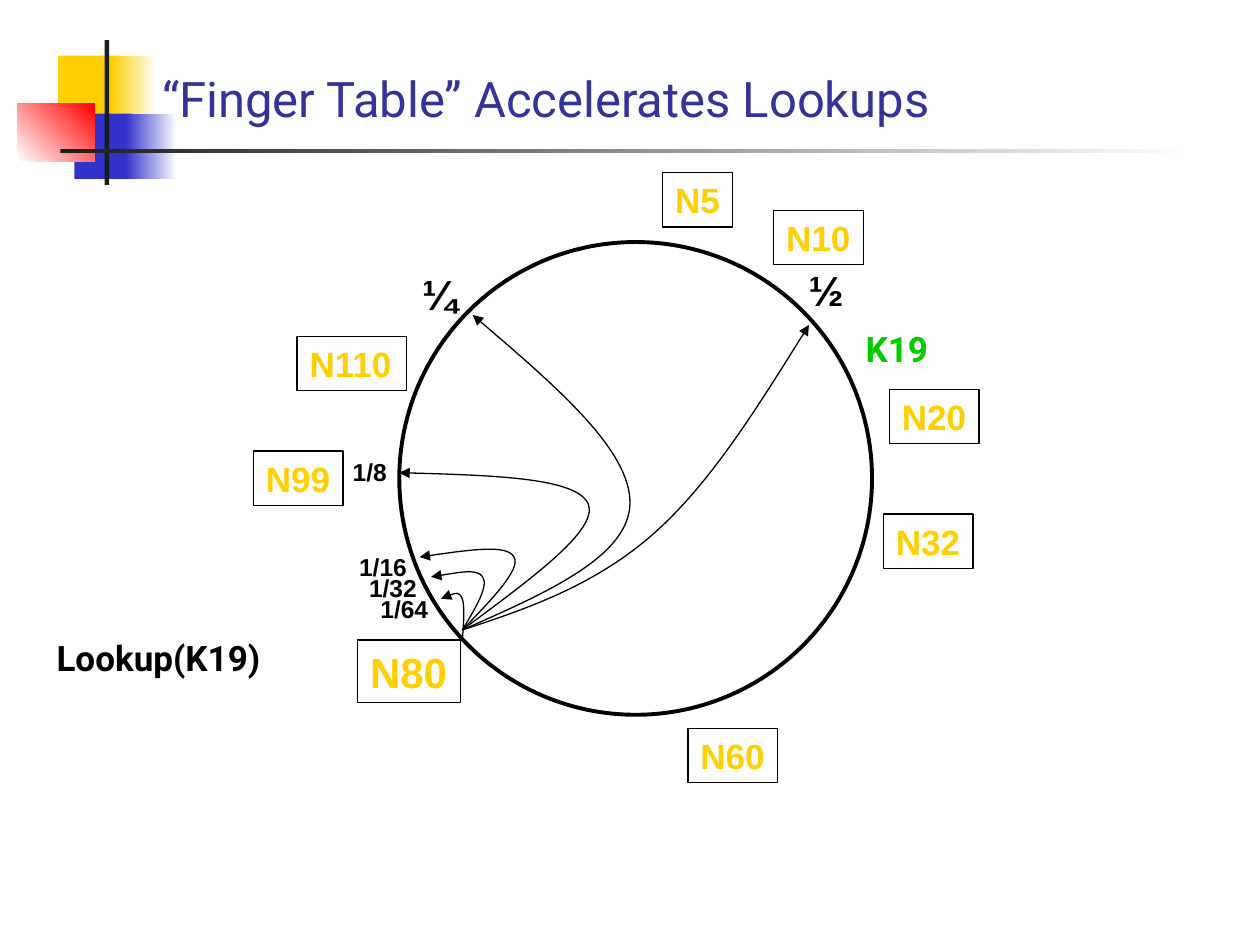
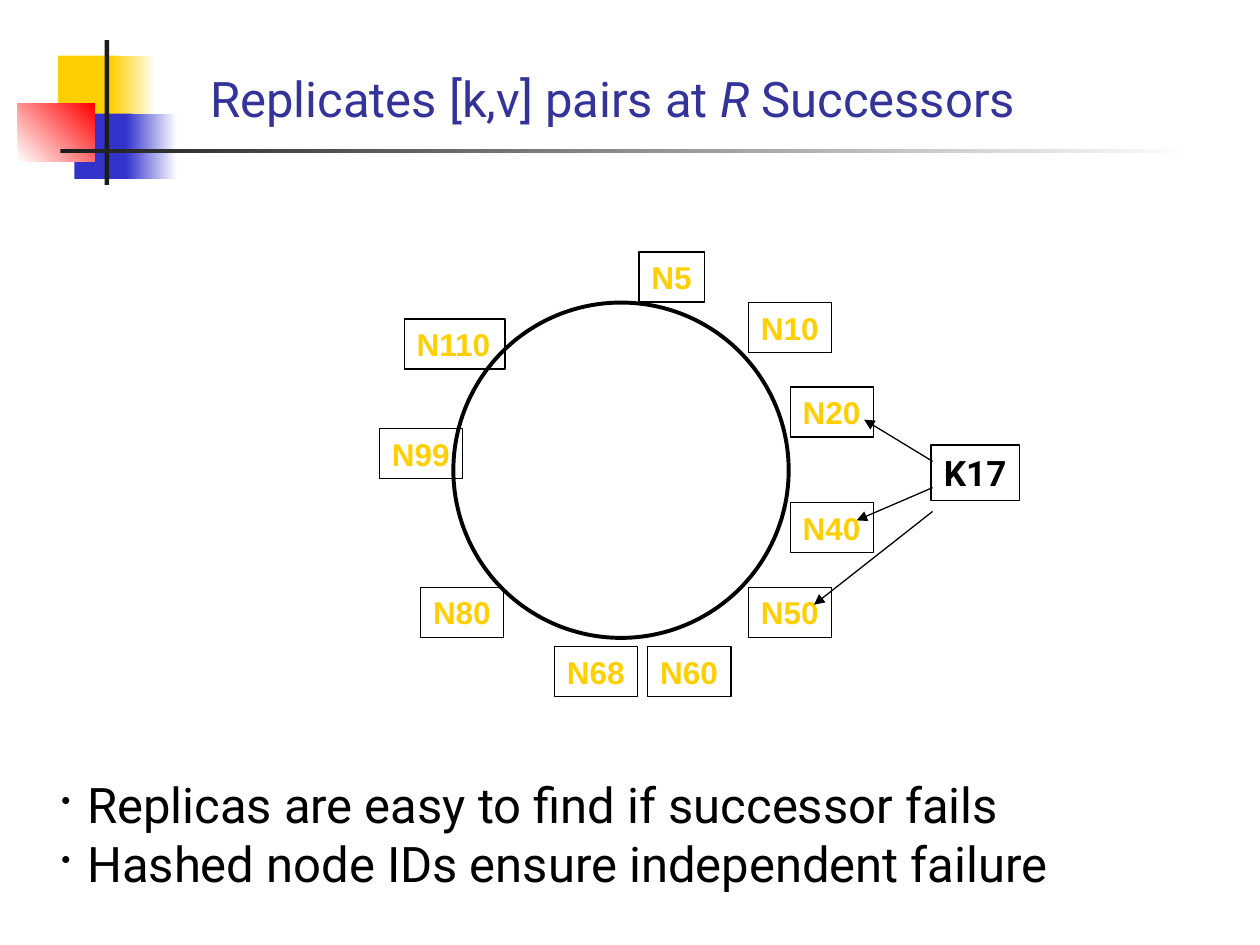
"""Build two slides on Chord lookups: the finger table and replication at successors."""
from lxml.etree import SubElement
from pptx import Presentation
from pptx.dml.color import RGBColor
from pptx.enum.shapes import MSO_CONNECTOR, MSO_SHAPE
from pptx.enum.text import MSO_ANCHOR, MSO_AUTO_SIZE, PP_ALIGN
from pptx.oxml.ns import qn
from pptx.util import Cm, Pt

YELLOW = RGBColor(0xFF, 0xCF, 0x01)
BLUE = RGBColor(0x33, 0x33, 0xCC)
RED = RGBColor(0xFF, 0x00, 0x00)
GREEN = RGBColor(0x00, 0xCC, 0x00)
INDIGO = RGBColor(0x33, 0x33, 0x99)
CHARCOAL = RGBColor(0x1C, 0x1C, 0x1C)
BLACK = RGBColor(0x00, 0x00, 0x00)
WHITE = RGBColor(0xFF, 0xFF, 0xFF)


def draw_line(drawn, width=0.75, arrow=False):
    drawn.line.color.rgb = BLACK
    drawn.line.width = Pt(width)
    if arrow:
        SubElement(drawn.line._get_or_add_ln(), qn("a:tailEnd"), type="triangle")


def add_text(slide, text, box, size=20, font="Arial", color=BLACK, bold=True, border=False,
             wrap=False, anchor=MSO_ANCHOR.TOP, align=PP_ALIGN.LEFT, bullet=False):
    place = [Cm(length) for length in box]
    if border:
        holder = slide.shapes.add_shape(MSO_SHAPE.RECTANGLE, *place)
        holder.shadow.inherit = False
        holder.fill.background()
        draw_line(holder)
    else:
        holder = slide.shapes.add_textbox(*place)
    frame = holder.text_frame
    frame.word_wrap = wrap
    frame.auto_size = MSO_AUTO_SIZE.NONE if wrap else MSO_AUTO_SIZE.SHAPE_TO_FIT_TEXT
    frame.vertical_anchor = anchor
    for number, line in enumerate(text.split("\n")):
        paragraph = frame.add_paragraph() if number else frame.paragraphs[0]
        paragraph.alignment = align
        if bullet:
            properties = paragraph._p.get_or_add_pPr()
            properties.set("marL", str(Cm(0.52)))
            properties.set("indent", str(-Cm(0.52)))
            SubElement(properties, qn("a:buSzPct"), val="55000")
            SubElement(properties, qn("a:buChar"), char="•")
        for position, piece in enumerate(line.split("*")):
            run = paragraph.add_run()
            run.text = piece
            run.font.name = font
            run.font.size = Pt(size)
            run.font.bold = bold
            run.font.italic = position % 2 == 1
            run.font.color.rgb = color


prs = Presentation()
prs.slide_width, prs.slide_height = Cm(25.4), Cm(19.05)

title_band = [
    ((1.17, 1.12, 1.22, 1.32), YELLOW, None, 0),
    ((2.24, 1.12, 0.91, 1.32), YELLOW, WHITE, 0),
    ((1.5, 2.29, 1.17, 1.32), BLUE, None, 0),
    ((2.54, 2.29, 1.02, 1.32), BLUE, WHITE, 0),
    ((0.36, 2.08, 1.55, 1.17), WHITE, RED, 45),
    ((2.11, 0.81, 0.09, 2.92), CHARCOAL, None, 0),
    ((1.22, 3, 22.86, 0.09), CHARCOAL, WHITE, 0),
]
chord_rings = [
    ("“Finger Table” Accelerates Lookups", (3.02, 0.79, 22.38, 1.91), (8.05, 4.88, 9.53), [
        ("N80", 24, 7.21, 12.9), ("N32", 20, 17.81, 10.36), ("N10", 20, 15.6, 4.24),
        ("N5", 20, 13.36, 3.48), ("N20", 20, 17.93, 7.85), ("N110", 20, 5.99, 6.78),
        ("N99", 20, 5.11, 9.09), ("N60", 20, 13.87, 14.68)]),
    ("Replicates [k,v] pairs at *R* Successors", (3.99, 0.66, 20.45, 2.03), (9.14, 6.1, 6.76), [
        ("N40", 18, 15.93, 10.13), ("N10", 18, 15.09, 6.1), ("N5", 18, 12.88, 5.08),
        ("N20", 18, 15.93, 7.8), ("N110", 18, 8.15, 6.43), ("N99", 18, 7.65, 8.64),
        ("N80", 18, 8.48, 11.84), ("N60", 18, 13.06, 13.03), ("N50", 18, 15.09, 11.84),
        ("N68", 18, 11.18, 13.03)]),
]
for title, title_box, (left, top, diameter), nodes in chord_rings:
    slide = prs.slides.add_slide(prs.slide_layouts[6])
    for box, start_color, end_color, angle in title_band:
        block = slide.shapes.add_shape(MSO_SHAPE.RECTANGLE, *[Cm(length) for length in box])
        block.shadow.inherit = False
        block.line.fill.background()
        if end_color is None:
            block.fill.solid()
            block.fill.fore_color.rgb = start_color
        else:
            block.fill.gradient()
            block.fill.gradient_angle = angle
            for stop, color in zip(block.fill.gradient_stops, (start_color, end_color)):
                stop.color.rgb = color
    add_text(slide, title, title_box, size=28, font="Roboto", color=INDIGO, bold=False,
             wrap=True, anchor=MSO_ANCHOR.BOTTOM)
    ring = slide.shapes.add_shape(MSO_SHAPE.OVAL, Cm(left), Cm(top), Cm(diameter), Cm(diameter))
    ring.shadow.inherit = False
    ring.fill.background()
    draw_line(ring, width=2.25)
    for node, size, x, y in nodes:
        em = Pt(size).cm
        width = 0.51 + em * (0.72 + 0.56 * (len(node) - 1))
        add_text(slide, node, (x, y, width, 0.25 + 1.2 * em), size=size, color=YELLOW, border=True)

finger_slide, replica_slide = prs.slides

fingers = [
    ("1/64", 14, (7.42, 11.86, 1.47, 0.86),
     [(9.32, 12.9), (9.35, 12.55), (9.37, 12.22), (9.32, 12.07),
      (9.25, 11.91), (9.07, 11.99), (8.89, 12.07)]),
    ("1/32", 14, (7.19, 11.43, 1.47, 0.86),
     [(9.32, 12.7), (9.58, 12.27), (9.86, 11.81), (9.73, 11.63),
      (9.63, 11.46), (9.14, 11.56), (8.69, 11.63)]),
    ("1/16", 14, (6.99, 11, 1.47, 0.86),
     [(9.32, 12.7), (9.91, 12.09), (10.52, 11.46), (10.36, 11.23),
      (10.24, 10.97), (9.35, 11.1), (8.46, 11.23)]),
    ("1/8", 14, (6.86, 9.09, 1.19, 0.86),
     [(9.32, 12.7), (10.69, 11.68), (12.07, 10.69), (11.86, 10.16),
      (11.63, 9.63), (9.83, 9.58), (8.05, 9.53)]),
    ("¼", 24, (8.26, 5.28, 1.22, 1.27),
     [(9.32, 12.7), (11, 11.96), (12.67, 11.23), (12.7, 10.16),
      (12.73, 9.09), (11.13, 7.72), (9.53, 6.35)]),
    ("½", 24, (16.05, 5.21, 1.22, 1.27),
     [(9.32, 12.7), (10.64, 12.27), (11.96, 11.81), (13.13, 10.8),
      (14.3, 9.78), (15.29, 8.18), (16.31, 6.55)]),
]
for fraction, size, box, curve in fingers:
    add_text(finger_slide, fraction, box, size=size)
    start, *controls = [(Cm(x), Cm(y)) for x, y in curve]
    builder = finger_slide.shapes.build_freeform(*start)
    builder.add_line_segments(controls, close=False)
    finger = builder.convert_to_shape()
    finger.shadow.inherit = False
    finger.fill.background()
    draw_line(finger, arrow=True)
    outline = next(finger._element.iter(qn("a:path")))
    segments = outline.findall(qn("a:lnTo"))
    for first in range(0, len(segments), 3):
        bezier = SubElement(outline, qn("a:cubicBezTo"))
        for segment in segments[first:first + 3]:
            bezier.append(segment[0])
            outline.remove(segment)

add_text(finger_slide, "Lookup(K19)", (0.89, 12.7, 4.88, 1.12), font="Roboto")
add_text(finger_slide, "K19", (17.2, 6.48, 1.78, 1.12), font="Roboto", color=GREEN)

add_text(replica_slide, "K17", (18.77, 8.97, 1.78, 1.12), font="Roboto", border=True,
         align=PP_ALIGN.CENTER)
for key_y, replica_x, replica_y in [(9.3, 17.42, 8.46), (9.83, 17.27, 10.49), (10.31, 16.41, 12.19)]:
    replica_arrow = replica_slide.shapes.add_connector(
        MSO_CONNECTOR.STRAIGHT, Cm(18.8), Cm(key_y), Cm(replica_x), Cm(replica_y))
    draw_line(replica_arrow, arrow=True)
    SubElement(replica_arrow._element.spPr, qn("a:effectLst"))
add_text(replica_slide,
         "Replicas are easy to find if successor fails\nHashed node IDs ensure independent failure",
         (0.99, 15.49, 22.35, 2.64), size=28, font="Roboto", bold=False, wrap=True, bullet=True)

prs.save("out.pptx")
